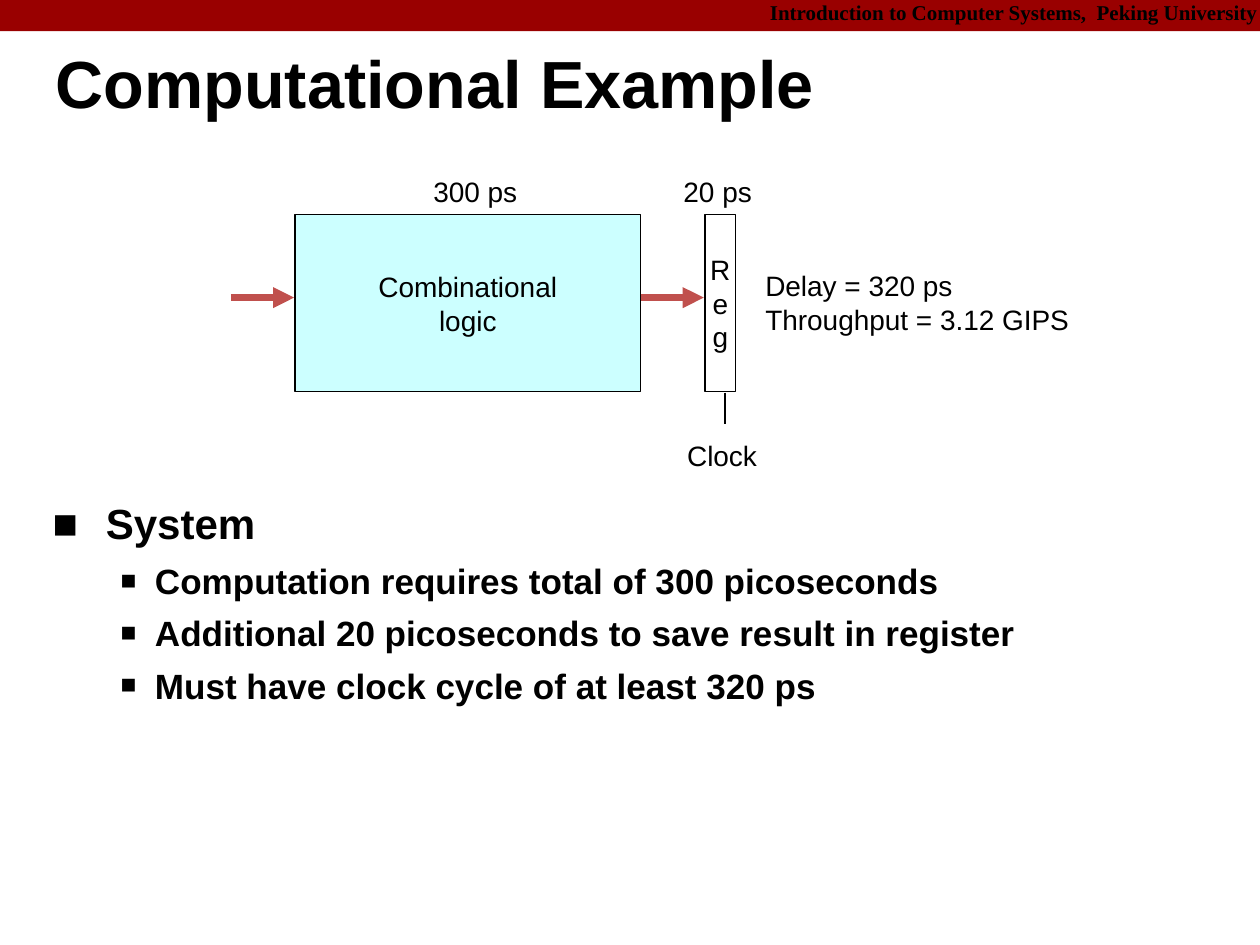
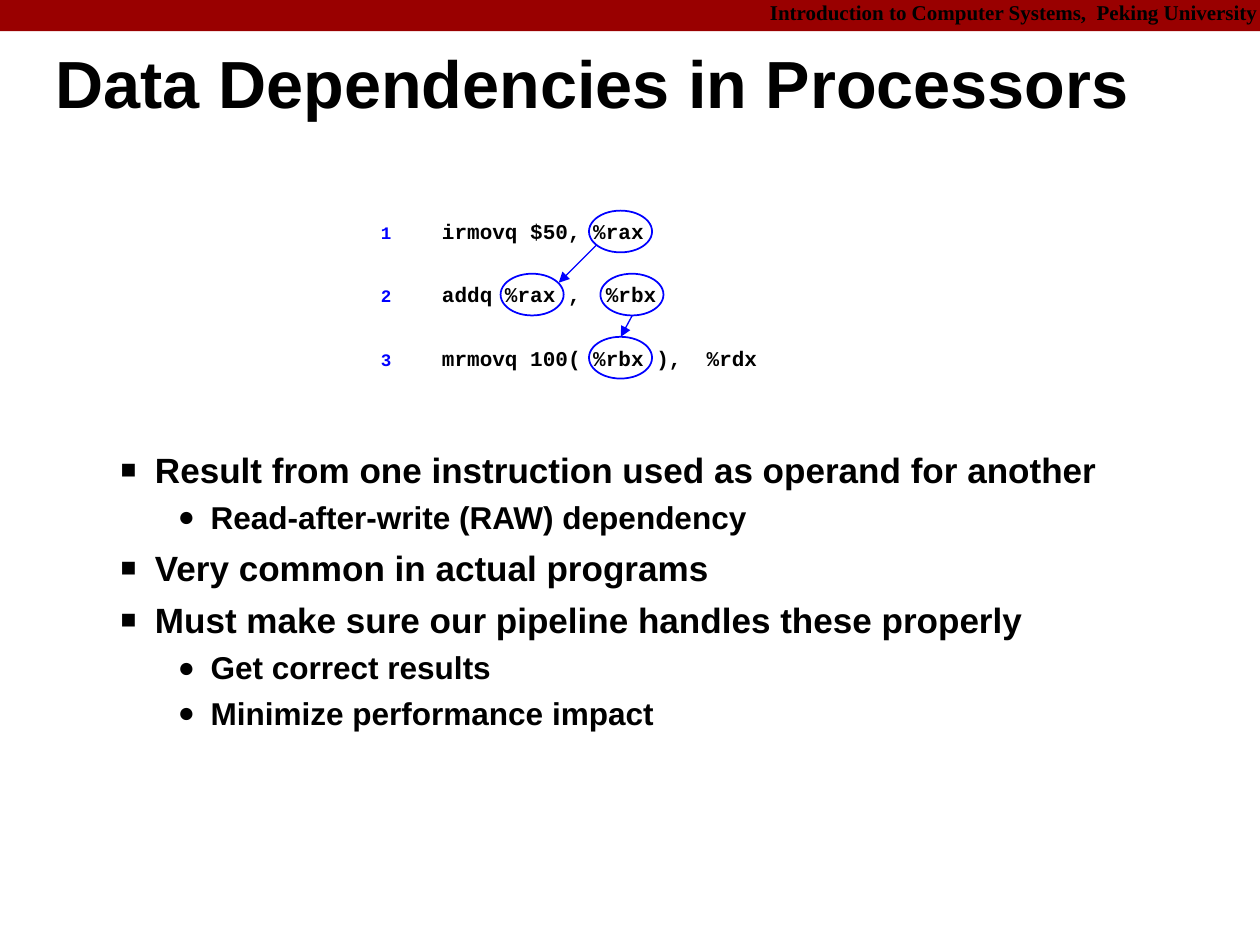
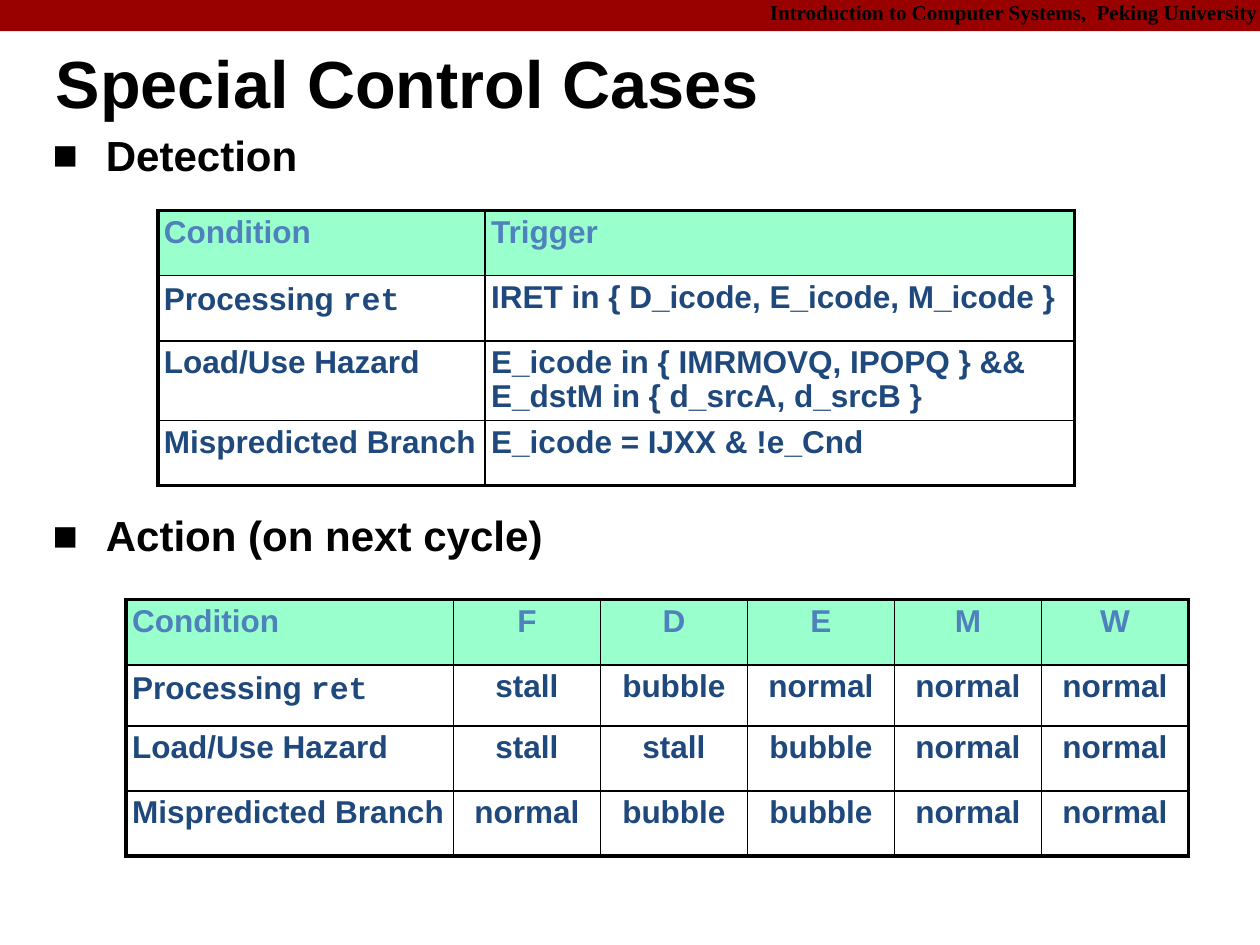
from dataclasses import dataclass

from lxml import etree
from pptx import Presentation
from pptx import util as u
from pptx.dml.color import RGBColor
from pptx.enum import shapes, text
from pptx.oxml.ns import qn

Cm, Pt = u.Cm, u.Pt
LEFT, CENTER, RIGHT = text.PP_ALIGN.LEFT, text.PP_ALIGN.CENTER, text.PP_ALIGN.RIGHT
TOP, MIDDLE = text.MSO_ANCHOR.TOP, text.MSO_ANCHOR.MIDDLE
RECT, ELLIPSE = shapes.MSO_SHAPE.RECTANGLE, shapes.MSO_SHAPE.OVAL


@dataclass(frozen=True)
class Level:
    """Look of one list level: lengths in cm, sizes in points."""
    size: int
    margin: float
    hanging: float
    spacing: float
    before: float
    bullet: str
    bullet_percent: int


@dataclass(frozen=True)
class Theme:
    # Colours
    ink: str = "000000"
    paper: str = "FFFFFF"
    band: str = "990000"
    logic: str = "CCFFFF"
    flow: str = "C0504D"
    mark: str = "0000FF"
    head_fill: str = "99FFCC"
    head_text: str = "4F81BD"
    cell_text: str = "1F497D"
    # Fonts and sizes
    sans: str = "Arial"
    mono: str = "Courier New"
    serif: str = "Times New Roman"
    title: int = 38
    label: int = 16
    cell: int = 18
    code: int = 12
    line_number: int = 10
    caption: int = 12
    # Lines
    thin: float = 1
    frame: float = 2.25
    # List levels
    levels: tuple = (
        Level(24, 1.07, 1.07, 0.95, 12, "■", 100),
        Level(20, 2.06, 0.69, 1.0, 5.8, "■", 75),
        Level(18, 3.18, 0.66, 1.07, 3, "●", 90),
    )


def rgb(value):
    return RGBColor.from_string(value)


def add_xml(parent, tag, **attributes):
    return etree.SubElement(parent, qn(tag), attributes)


class Deck:
    WIDTH, HEIGHT = 25.37, 19.02
    BODY_BOTTOM = 17.87

    def __init__(self, theme):
        self.theme = theme
        self.prs = Presentation()
        self.prs.slide_width, self.prs.slide_height = Cm(self.WIDTH), Cm(self.HEIGHT)
        self.slide = None

    # Slide, title and shared header
    def new_slide(self, title):
        first = self.slide is None
        self.slide = self.prs.slides.add_slide(self.prs.slide_layouts[1])
        if first:
            self.header()
        heading = self.slide.shapes.title
        self.place(heading, 1.12, 0.69, 24.18, 2.16)
        frame = self.frame(heading, MIDDLE, (0, 0, 0, 0))
        paragraph = self.paragraph(frame, LEFT, spacing=0.87)
        self.run(paragraph, title, self.theme.title, bold=True)

    def header(self):
        """Build the band and its caption once and move them to the master."""
        t = self.theme
        band = self.shape(RECT, 0, 0, self.WIDTH, 0.63, fill=t.band)
        caption = self.slide.shapes.add_textbox(Cm(15.24), 0, Cm(10.13), Cm(0.63))
        frame = self.frame(caption, TOP, (0.25, 0.05, 0.04, 0))
        paragraph = self.paragraph(frame, RIGHT, spacing=0.9)
        self.run(paragraph, "Introduction to Computer Systems,  Peking University",
                 t.caption, font=t.serif, bold=True)
        tree = self.prs.slide_master.element.cSld.spTree
        for offset, part in enumerate((band, caption)):
            part.element.nvSpPr.cNvPr.set("id", str(101 + offset))
            tree.insert(2 + offset, part.element)

    # Text helpers
    @staticmethod
    def place(shape, left, top, width, height):
        shape.left, shape.top = Cm(left), Cm(top)
        shape.width, shape.height = Cm(width), Cm(height)

    @staticmethod
    def frame(shape, anchor=TOP, insets=(0.25, 0.13, 0.25, 0.13), wrap=True):
        frame = shape.text_frame
        frame.auto_size = text.MSO_AUTO_SIZE.NONE
        frame.word_wrap = wrap
        frame.vertical_anchor = anchor
        (frame.margin_left, frame.margin_top,
         frame.margin_right, frame.margin_bottom) = map(Cm, insets)
        return frame

    @staticmethod
    def paragraph(frame, align, spacing=1.0, index=0):
        paragraph = frame.add_paragraph() if index else frame.paragraphs[0]
        paragraph.alignment = align
        paragraph.line_spacing = spacing
        paragraph.space_before = Pt(0)
        return paragraph

    def run(self, paragraph, words, size, color=None, font=None, bold=False):
        run = paragraph.add_run()
        run.text = words
        run.font.size, run.font.bold = Pt(size), bold
        run.font.name = font or self.theme.sans
        run.font.color.rgb = rgb(color or self.theme.ink)

    def lines(self, frame, lines, align):
        for index, words in enumerate(lines):
            paragraph = self.paragraph(frame, align, index=index)
            self.run(paragraph, words, self.theme.label)

    # Bulleted list; an item is (level, words) or (level, words, space before)
    def bullets(self, top, items):
        body = self.slide.placeholders[1]
        self.place(body, 0.81, top, 23.04, self.BODY_BOTTOM - top)
        frame = self.frame(body)
        for index, (depth, words, *gap) in enumerate(items):
            level = self.theme.levels[depth]
            paragraph = self.paragraph(frame, LEFT, level.spacing, index)
            paragraph.level = depth
            paragraph.space_before = Pt(gap[0] if gap else level.before)
            self.run(paragraph, words, level.size, bold=True)
            props = paragraph._p.get_or_add_pPr()
            props.set("marL", str(Cm(level.margin)))
            props.set("indent", str(-Cm(level.hanging)))
            add_xml(props, "a:buSzPct", val=str(level.bullet_percent * 1000))
            add_xml(props, "a:buFont", typeface=self.theme.sans)
            add_xml(props, "a:buChar", char=level.bullet)

    # Shapes, labels and lines
    def shape(self, kind, left, top, width, height, fill=None, line=None):
        shape = self.slide.shapes.add_shape(kind, Cm(left), Cm(top), Cm(width), Cm(height))
        shape.shadow.inherit = False
        if fill:
            shape.fill.solid()
            shape.fill.fore_color.rgb = rgb(fill)
        else:
            shape.fill.background()
        if line:
            shape.line.color.rgb = rgb(line)
            shape.line.width = Pt(self.theme.thin)
        else:
            shape.line.fill.background()
        return shape

    def block(self, left, top, width, height, fill, lines):
        box = self.shape(RECT, left, top, width, height, fill, self.theme.ink)
        self.lines(self.frame(box, MIDDLE, wrap=False), lines, CENTER)

    def label(self, left, top, width, height, lines, align=CENTER):
        box = self.slide.shapes.add_textbox(Cm(left), Cm(top), Cm(width), Cm(height))
        self.lines(self.frame(box, wrap=align == LEFT), lines, align)

    def line(self, start, end, color, width, arrow=True):
        line = self.slide.shapes.add_connector(
            shapes.MSO_CONNECTOR.STRAIGHT, *map(Cm, (*start, *end)))
        line.line.color.rgb = rgb(color)
        line.line.width = Pt(width)
        props = line.element.spPr
        if arrow:
            add_xml(props.find(qn("a:ln")), "a:tailEnd", type="triangle")
        add_xml(props, "a:effectLst")

    def instruction(self, left, top, width, height, number, code):
        t = self.theme
        box = self.shape(RECT, left, top, width, height, fill=t.paper)
        paragraph = self.paragraph(self.frame(box, MIDDLE), LEFT)
        self.run(paragraph, str(number), t.line_number, t.mark, t.mono, bold=True)
        self.run(paragraph, "\t" + code, t.code, font=t.mono, bold=True)
        tabs = add_xml(paragraph._p.get_or_add_pPr(), "a:tabLst")
        add_xml(tabs, "a:tab", pos=str(Cm(1.23)), algn="l")

    # Table; a cell is a string or a tuple of (words, font) runs
    def table(self, left, top, widths, heights, rows, align):
        t = self.theme
        table = self.slide.shapes.add_table(
            len(rows), len(widths), Cm(left), Cm(top),
            Cm(sum(widths)), Cm(sum(heights))).table
        table.first_row = table.horz_banding = False
        for column, width in zip(table.columns, widths):
            column.width = Cm(width)
        for row, height in zip(table.rows, heights):
            row.height = Cm(height)
        for r, row in enumerate(rows):
            for c, content in enumerate(row):
                cell = table.cell(r, c)
                (cell.margin_left, cell.margin_top,
                 cell.margin_right, cell.margin_bottom) = [Cm(0.12)] * 4
                paragraph = self.paragraph(cell.text_frame, align if c else LEFT, 0.95)
                runs = ((content, t.sans),) if isinstance(content, str) else content
                for words, font in runs:
                    self.run(paragraph, words, t.cell,
                             t.cell_text if r else t.head_text, font, bold=True)
                self.borders(cell, L=c == 0, R=c == len(widths) - 1,
                             T=r == 0, B=r == len(rows) - 1)
                if r:
                    cell.fill.background()
                else:
                    cell.fill.solid()
                    cell.fill.fore_color.rgb = rgb(t.head_fill)

    def borders(self, cell, **outer_sides):
        props = cell._tc.get_or_add_tcPr()
        for side, outer in outer_sides.items():
            width = self.theme.frame if outer else self.theme.thin
            line = add_xml(props, f"a:ln{side}", w=str(Pt(width)))
            add_xml(add_xml(line, "a:solidFill"), "a:srgbClr", val=self.theme.ink)


def computational_example(deck):
    t = deck.theme
    deck.new_slide("Computational Example")
    deck.bullets(9.96, [
        (0, "System"),
        (1, "Computation requires total of 300 picoseconds"),
        (1, "Additional 20 picoseconds to save result in register"),
        (1, "Must have clock cycle of at least 320 ps"),
    ])
    # Logic and register with their delays
    top, height = 4.32, 3.56
    deck.block(5.94, top, 6.96, height, t.logic, ["Combinational", "logic"])
    deck.block(14.2, top, 0.61, height, t.paper, "Reg")
    deck.label(8.48, 3.38, 2.18, 0.91, ["300 ps"])
    deck.label(13.51, 3.38, 1.88, 0.91, ["20 ps"])
    # Data flow and clock
    for left in (4.65, 12.9):
        deck.line((left, 5.99), (left + 1.27, 5.99), t.flow, 4)
    deck.line((14.6, 7.9), (14.6, 8.53), t.ink, t.thin, arrow=False)
    deck.label(13.59, 8.69, 1.9, 0.91, ["Clock"])
    deck.label(15.16, 5.28, 6.93, 1.6,
               ["Delay = 320 ps", "Throughput = 3.12 GIPS"], LEFT)


def data_dependencies(deck):
    t = deck.theme
    deck.new_slide("Data Dependencies in Processors")
    deck.bullets(8.89, [
        (1, "Result from one instruction used as operand for another"),
        (2, "Read-after-write (RAW) dependency"),
        (1, "Very common in actual programs"),
        (1, "Must make sure our pipeline handles these properly"),
        (2, "Get correct results"),
        (2, "Minimize performance impact"),
    ])
    # Instructions
    height = 0.84
    tops = [4.24 + 1.27 * row for row in range(3)]
    program = ["irmovq $50, %rax", "addq %rax ,  %rbx", "mrmovq 100( %rbx ),  %rdx"]
    for number, (top, code) in enumerate(zip(tops, program), 1):
        deck.instruction(7.42, top, 8.89, height, number, code)
    # Dependent registers
    for left, row in ((11.86, 0), (10.08, 1), (12.09, 1), (11.86, 2)):
        deck.shape(ELLIPSE, left, tops[row], 1.27, height, line=t.mark)
    deck.line((12.01, 4.93), (11.25, 5.69), t.mark, 0.75)
    deck.line((12.73, 6.35), (12.5, 6.78), t.mark, 0.75)


def special_control_cases(deck):
    t = deck.theme
    deck.new_slide("Special Control Cases")
    deck.bullets(2.54, [(0, "Detection"), (0, "Action (on next cycle)", 190)])
    conditions = ["Condition", (("Processing ", t.sans), ("ret", t.mono)),
                  "Load/Use Hazard", "Mispredicted Branch"]
    # Detection
    triggers = ["Trigger", "IRET in { D_icode, E_icode, M_icode }",
                "E_icode in { IMRMOVQ, IPOPQ } && E_dstM in { d_srcA, d_srcB }",
                "E_icode = IJXX & !e_Cnd"]
    deck.table(3.18, 4.24, [6.59, 11.86], [1.31, 1.31, 1.6, 1.31],
               list(zip(conditions, triggers)), LEFT)
    # Action per pipeline stage
    actions = ["F D E M W", "stall bubble normal normal normal",
               "stall stall bubble normal normal", "normal bubble bubble normal normal"]
    deck.table(2.54, 12.07, [6.59] + [2.96] * 5, [1.31, 1.23, 1.31, 1.31],
               [[name, *stages.split()] for name, stages in zip(conditions, actions)],
               CENTER)


def main():
    deck = Deck(Theme())
    computational_example(deck)
    data_dependencies(deck)
    special_control_cases(deck)
    deck.prs.save("out.pptx")


if __name__ == "__main__":
    main()
